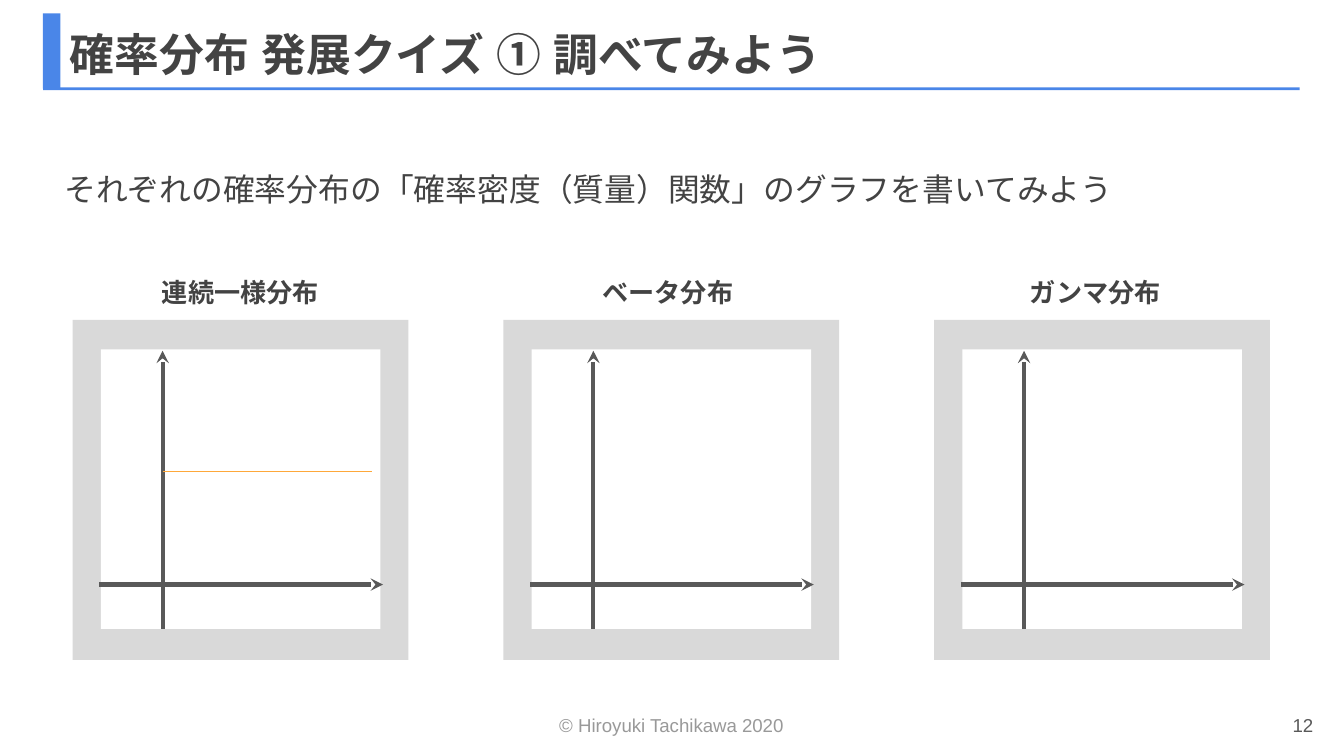
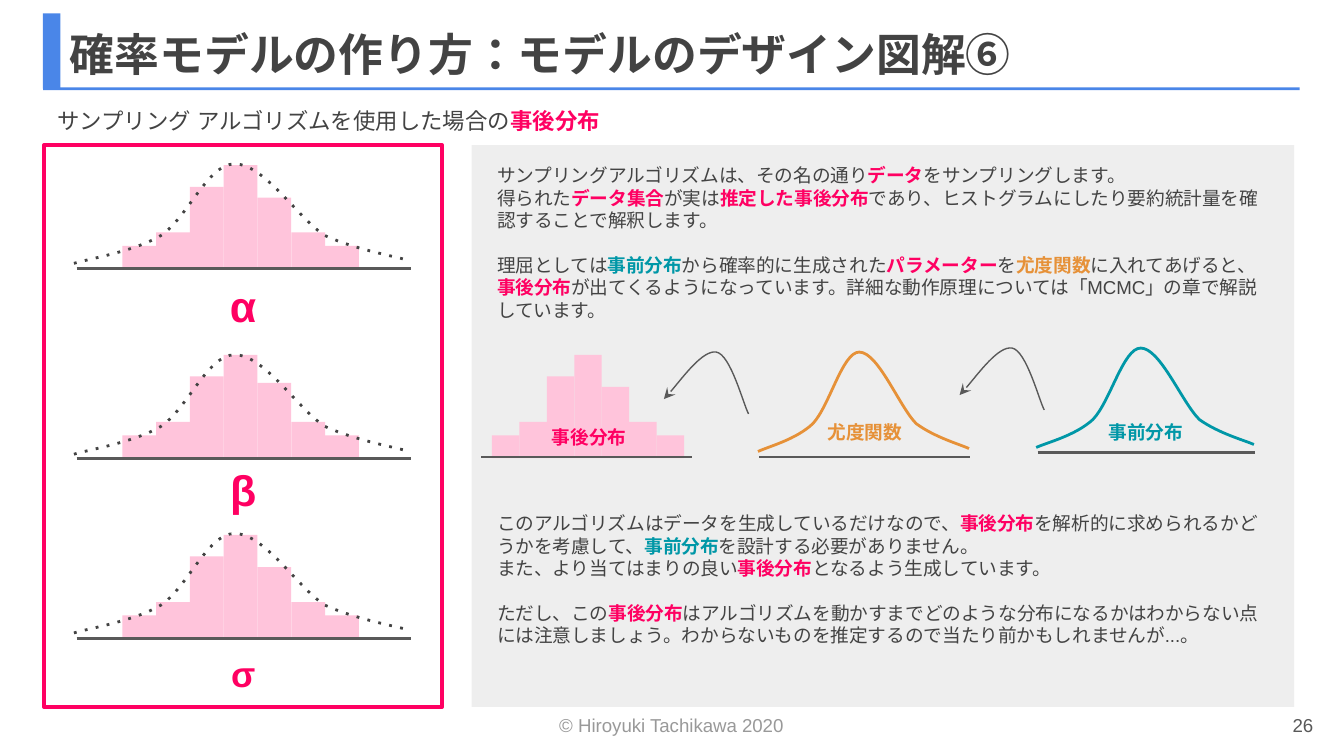
from dataclasses import dataclass

from lxml import etree
from pptx import Presentation
from pptx.dml.color import RGBColor
from pptx.enum.lang import MSO_LANGUAGE_ID
from pptx.enum.shapes import MSO_CONNECTOR, MSO_SHAPE
from pptx.enum.text import MSO_ANCHOR, MSO_AUTO_SIZE, PP_ALIGN
from pptx.oxml.ns import qn
from pptx.util import Inches, Pt

RECTANGLE = MSO_SHAPE.RECTANGLE
STRAIGHT = MSO_CONNECTOR.STRAIGHT
TOP, MIDDLE = MSO_ANCHOR.TOP, MSO_ANCHOR.MIDDLE
LEFT, CENTER, RIGHT = PP_ALIGN.LEFT, PP_ALIGN.CENTER, PP_ALIGN.RIGHT
FIXED_SIZE = MSO_AUTO_SIZE.NONE
JAPANESE = MSO_LANGUAGE_ID.JAPANESE


@dataclass(frozen=True)
class Theme:
    font: str = "Arial"
    text: str = "434343"
    axis: str = "595959"
    footer: str = "999999"
    blue: str = "4A86E8"
    frame: str = "D9D9D9"
    panel: str = "EEEEEE"
    white: str = "FFFFFF"
    bar: str = "FFC4DB"
    posterior: str = "FF0062"
    prior: str = "0097A7"
    likelihood: str = "E69138"
    uniform: str = "FEA83A"
    title_size: int = 24
    symbol_size: int = 23
    sigma_size: int = 19
    prompt_size: int = 17
    caption_size: int = 14
    lead_size: int = 12
    body_size: int = 10


THEME = Theme()

BELL = [
    (0, 1),
    (0.05, 0.95), (0.18, 0.88), (0.26, 0.72),
    (0.34, 0.54), (0.4, 0), (0.48, 0),
    (0.57, 0), (0.67, 0.55), (0.75, 0.72),
    (0.84, 0.86), (0.96, 0.93), (1, 0.97),
]
SWOOP = [
    (1, 1),
    (0.94, 0.85), (0.79, 0.04), (0.62, 0),
    (0.46, -0.04), (0.1, 0.63), (0, 0.76),
]
BAR_HEIGHTS = (0.17, 0.27, 0.61, 0.77, 0.53, 0.27, 0.17)
BETA_HEIGHTS = (0.17, 0.27, 0.61, 0.77, 0.56, 0.27, 0.17)


class Deck:
    def __init__(self, theme):
        self.theme = theme
        self.presentation = Presentation()
        self.presentation.slide_width = Inches(10)
        self.presentation.slide_height = Inches(5.625)
        self.layout = self.presentation.slide_layouts[5]
        self.page = None
        self.branded = False

    def start_page(self, title, number):
        self.page = self.presentation.slides.add_slide(self.layout)
        if not self.branded:
            self.brand_layout()
        box = self.page.shapes.title
        box.left, box.top = Inches(0.42), Inches(0.12)
        box.width, box.height = Inches(9.32), Inches(0.56)
        self.fill_text(box, [[title]], self.theme.title_size, bold=True, anchor=MIDDLE)
        self.text(9.27, 5.26, 0.6, 0.27, [[str(number)]],
                  self.theme.body_size, self.theme.axis, align=RIGHT, anchor=MIDDLE)

    def brand_layout(self):
        theme = self.theme
        shared = (
            self.rectangle(0.32, 0.1, 0.13, 0.56, theme.blue),
            self.rectangle(0.32, 0.65, 9.35, 0.02, theme.blue),
            self.text(0.67, 5.26, 8.65, 0.27, [["©︎ Hiroyuki Tachikawa 2020"]],
                      theme.body_size, theme.footer, align=CENTER, anchor=MIDDLE),
        )
        for index, box in enumerate(shared):
            box._element.nvSpPr.cNvPr.set("id", str(100 + index))
            self.layout.shapes._spTree.append(box._element)
        self.branded = True

    def fill_text(self, box, paragraphs, size, color=None, bold=False,
                  align=LEFT, anchor=TOP, spacing=None, gaps=()):
        frame = box.text_frame
        frame.word_wrap = True
        frame.auto_size = FIXED_SIZE
        frame.vertical_anchor = anchor
        frame.margin_left = frame.margin_right = Inches(0.1)
        frame.margin_top = frame.margin_bottom = Inches(0.1)
        for index, pieces in enumerate(paragraphs):
            para = frame.add_paragraph() if index else frame.paragraphs[0]
            para.alignment = align
            if spacing:
                para.line_spacing = spacing
            if index in gaps:
                para.space_before = Pt(12)
            for piece in pieces:
                plain = isinstance(piece, str)
                span = para.add_run()
                span.text = piece if plain else piece[0]
                font = span.font
                font.name = self.theme.font
                font.size = Pt(size)
                font.bold = bold if plain else True
                font.language_id = JAPANESE
                tint = (color or self.theme.text) if plain else piece[1]
                font.color.rgb = RGBColor.from_string(tint)
                properties = span._r.get_or_add_rPr()
                etree.SubElement(properties, qn("a:ea")).set("typeface", self.theme.font)

    def text(self, left, top, width, height, paragraphs, size, color=None, **style):
        box = self.page.shapes.add_textbox(
            Inches(left), Inches(top), Inches(width), Inches(height))
        self.fill_text(box, paragraphs, size, color, **style)
        return box

    def rectangle(self, left, top, width, height, fill=None, line=None):
        box = self.page.shapes.add_shape(
            RECTANGLE, Inches(left), Inches(top), Inches(width), Inches(height))
        box.shadow.inherit = False
        if fill:
            box.fill.solid()
            box.fill.fore_color.rgb = RGBColor.from_string(fill)
        else:
            box.fill.background()
        if line:
            self.stroke(box, line, 2.25)
        else:
            box.line.fill.background()
        return box

    def stroke(self, shape, color, weight, arrow=False, dotted=False):
        shape.line.color.rgb = RGBColor.from_string(color)
        shape.line.width = Pt(weight)
        outline = shape.line._get_or_add_ln()
        if dotted:
            etree.SubElement(outline, qn("a:prstDash")).set("val", "dot")
        if arrow:
            etree.SubElement(outline, qn("a:tailEnd")).set("type", "stealth")

    def line(self, start, end, color, weight, arrow=False):
        connector = self.page.shapes.add_connector(
            STRAIGHT, *(Inches(value) for value in (*start, *end)))
        etree.SubElement(connector._element.spPr, qn("a:effectLst"))
        self.stroke(connector, color, weight, arrow)

    def curve(self, controls, left, top, width, height, color, weight,
              dotted=False, arrow=False):
        points = [(Inches(left + x * width), Inches(top + y * height))
                  for x, y in controls]
        builder = self.page.shapes.build_freeform(*points[0])
        builder.add_line_segments(points[1:], close=False)
        shape = builder.convert_to_shape()
        segments = list(shape._element.iter(qn("a:lnTo")))
        contour = segments[0].getparent()
        for index in range(0, len(segments), 3):
            bezier = etree.SubElement(contour, qn("a:cubicBezTo"))
            for segment in segments[index:index + 3]:
                bezier.append(segment[0])
                contour.remove(segment)
        shape.shadow.inherit = False
        shape.fill.background()
        self.stroke(shape, color, weight, arrow, dotted)

    def bell(self, left, top, width, color, dotted=False):
        self.curve(BELL, left, top, width, 0.74, color, 1.5, dotted)

    def histogram(self, left, base, span, heights=BAR_HEIGHTS):
        pitch = span / len(heights)
        for index, height in enumerate(heights):
            self.rectangle(left + index * pitch, base - height,
                           pitch, height, self.theme.bar)

    def baseline(self, left, right, y):
        self.line((left, y), (right, y), self.theme.axis, 1.5)

    def empty_graph(self, left):
        theme = self.theme
        self.rectangle(left, 2.38, 2.5, 2.53, theme.frame)
        self.rectangle(left + 0.21, 2.6, 2.08, 2.08, theme.white)
        self.line((left + 0.2, 4.35), (left + 2.31, 4.35), theme.axis, 2.25, arrow=True)
        self.line((left + 0.67, 4.68), (left + 0.67, 2.61), theme.axis, 2.25, arrow=True)


def build_quiz(deck):
    theme = deck.theme
    first, last = 0.54, 6.95
    deck.start_page("確率分布 発展クイズ ① 調べてみよう", 12)
    deck.text(0.38, 1.16, 9.24, 0.44,
              [["それぞれの確率分布の「確率密度（質量）関数」のグラフを書いてみよう"]],
              theme.prompt_size)
    for index, name in enumerate(("連続一様分布", "ベータ分布", "ガンマ分布")):
        deck.text(0.38 + 3.18 * index, 1.96, 2.82, 0.44, [[name]],
                  theme.caption_size, bold=True, align=CENTER)
        deck.empty_graph(first + (last - first) / 2 * index)
    deck.line((1.21, 3.51), (2.77, 3.51), theme.uniform, 0.75)


def build_design(deck):
    theme = deck.theme
    posterior = ("事後分布", theme.posterior)
    prior = ("事前分布", theme.prior)
    likelihood = ("尤度関数", theme.likelihood)

    deck.start_page("確率モデルの作り方：モデルのデザイン図解⑥", 26)
    deck.rectangle(3.51, 1.08, 6.12, 4.18, theme.panel)
    deck.rectangle(0.33, 1.08, 2.96, 4.18, line=theme.posterior)
    deck.text(0.33, 0.67, 9.37, 0.34,
              [["サンプリング アルゴリズムを使用した場合の", posterior]],
              theme.lead_size, spacing=1.15)

    parameters = (
        ("α", theme.symbol_size, 2.0, 1.22, 2.07, BAR_HEIGHTS),
        ("β", theme.symbol_size, 3.41, 2.64, 3.44, BETA_HEIGHTS),
        ("σ", theme.sigma_size, 4.75, 3.97, 4.82, BAR_HEIGHTS),
    )
    for symbol, size, base, bell_top, label_top, heights in parameters:
        deck.histogram(0.91, base, 1.76, heights)
        deck.baseline(0.57, 3.06, base)
        deck.bell(0.55, bell_top, 2.49, theme.text, dotted=True)
        deck.text(0.33, label_top, 2.96, 0.34, [[symbol]], size, theme.posterior,
                  bold=True, align=CENTER, anchor=MIDDLE, spacing=1.15)

    deck.text(3.6, 1.12, 5.96, 0.61, [
        ["サンプリングアルゴリズムは、その名の通り", ("データ", theme.posterior),
         "をサンプリングします。"],
        ["得られた", ("データ集合", theme.posterior), "が実は",
         ("推定した事後分布", theme.posterior),
         "であり、ヒストグラムにしたり要約統計量を確認することで解釈します。"],
        ["理屈としては", prior, "から確率的に生成された",
         ("パラメーター", theme.posterior), "を", likelihood,
         "に入れてあげると、", posterior,
         "が出てくるようになっています。詳細な動作原理については「MCMC」の章で解説しています。"],
    ], theme.body_size, gaps=(2,))

    deck.histogram(3.66, 3.41, 1.43)
    deck.baseline(3.58, 5.15, 3.4)
    deck.bell(5.64, 2.62, 1.57, theme.likelihood)
    deck.baseline(5.65, 7.22, 3.4)
    deck.bell(7.71, 2.59, 1.62, theme.prior)
    deck.baseline(7.72, 9.34, 3.37)
    for left, top in ((4.94, 2.62), (7.14, 2.59)):
        deck.curve(SWOOP, left, top, 0.63, 0.46, theme.axis, 0.75, arrow=True)
    labels = ((prior, 8.14, 3.14, 0.77), (likelihood, 6.05, 3.14, 0.77),
              ((" 事後分布", theme.posterior), 3.91, 3.18, 0.91))
    for label, left, top, width in labels:
        deck.text(left, top, width, 0.15, [[label]], theme.body_size,
                  align=CENTER, anchor=MIDDLE)

    deck.text(3.6, 3.71, 5.96, 1.27, [
        ["このアルゴリズムはデータを生成しているだけなので、", posterior,
         "を解析的に求められるかどうかを考慮して、", prior,
         "を設計する必要がありません。"],
        ["また、より当てはまりの良い", posterior, "となるよう生成しています。"],
        ["ただし、この", posterior,
         "はアルゴリズムを動かすまでどのような分布になるかはわからない点には注意しましょう。"
         "わからないものを推定するので当たり前かもしれませんが...。"],
    ], theme.body_size, gaps=(2,))


def main():
    deck = Deck(THEME)
    build_quiz(deck)
    build_design(deck)
    deck.presentation.save("out.pptx")


if __name__ == "__main__":
    main()
